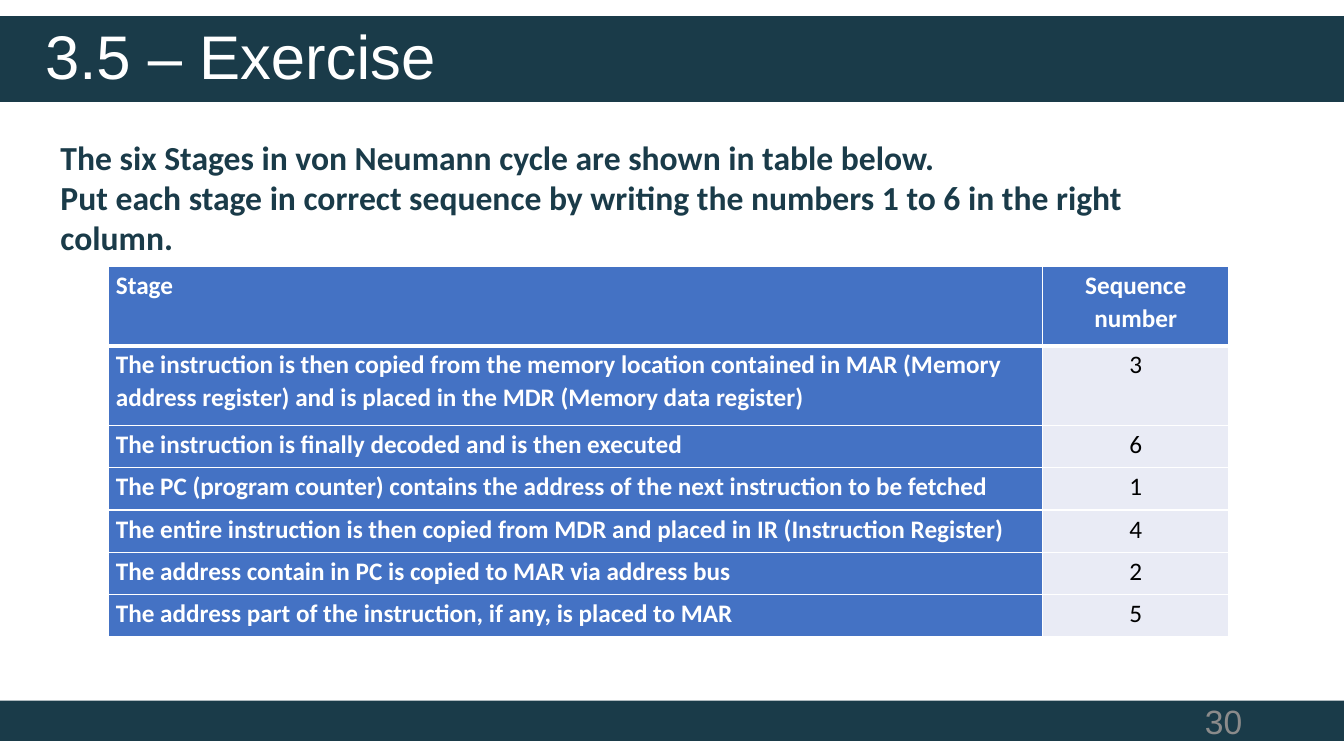
from lxml import etree
from pptx import Presentation
from pptx.dml.color import RGBColor
from pptx.enum.shapes import MSO_SHAPE
from pptx.enum.text import MSO_ANCHOR, PP_ALIGN
from pptx.oxml.ns import qn
from pptx.util import Inches, Pt

RECTANGLE = MSO_SHAPE.RECTANGLE
MIDDLE = MSO_ANCHOR.MIDDLE
LEFT, CENTER, RIGHT = PP_ALIGN.LEFT, PP_ALIGN.CENTER, PP_ALIGN.RIGHT
NAVY = RGBColor(0x1A, 0x3B, 0x49)
WHITE = RGBColor(0xFF, 0xFF, 0xFF)
BLACK = RGBColor(0x00, 0x00, 0x00)
GRAY = RGBColor(0x8B, 0x8B, 0x8B)
BLUE = RGBColor(0x44, 0x72, 0xC4)
PALE_BLUE = RGBColor(0xE9, 0xEB, 0xF5)

STAGES = [
    ("Stage", "Sequence number"),
    ("The instruction is then copied from the memory location contained in MAR "
     "(Memory address register) and is placed in the MDR (Memory data register)", "3"),
    ("The instruction is finally decoded and is then executed", "6"),
    ("The PC (program counter) contains the address of the next instruction to be fetched", "1"),
    ("The entire instruction is then copied from MDR and placed in IR (Instruction Register)", "4"),
    ("The address contain in PC is copied to MAR via address bus", "2"),
    ("The address part of the instruction, if any, is placed to MAR", "5"),
]


def write(frame, text, align, spacing, name, size, color, bold=False):
    frame.word_wrap = True
    frame.text = text
    paragraph = frame.paragraphs[0]
    paragraph.alignment = align
    paragraph.line_spacing = spacing
    for run in paragraph.runs:
        for key, value in {"name": name, "size": Pt(size), "bold": bold}.items():
            setattr(run.font, key, value)
        run.font.color.rgb = color


def add_border(cell, side, points):
    line = etree.SubElement(cell._tc.get_or_add_tcPr(), qn(f"a:ln{side}"), w=str(Pt(points)))
    fill = etree.SubElement(line, qn("a:solidFill"))
    etree.SubElement(fill, qn("a:srgbClr"), val=str(WHITE))


prs = Presentation()
prs.slide_width, prs.slide_height = Inches(13.33), Inches(7.5)
slide = prs.slides.add_slide(prs.slide_layouts[6])

for top, height in [(6.95, 0.4), (0.16, 0.85)]:
    band = slide.shapes.add_shape(RECTANGLE, 0, Inches(top), prs.slide_width, Inches(height))
    band.shadow.inherit = False
    band.fill.solid()
    band.fill.fore_color.rgb = NAVY
    band.line.fill.background()

TEXTS = [
    ((9.42, 6.95, 3, 0.4), (0.1, 0.05, 0.1, 0.05),
     ("30", RIGHT, 1.0, "Arial", 24, GRAY)),
    ((0.35, 0.25, 11.5, 0.68), (0.1, 0.05, 0.1, 0.05),
     ("3.5 – Exercise", LEFT, 0.9, "Arial", 44, WHITE)),
    ((0.35, 1.18, 11.72, 1.46), (0.25, 0.17, 0, 0.08),
     ("The six Stages in von Neumann cycle are shown in table below.\v"
      "Put each stage in correct sequence by writing the numbers 1 to 6 in the right column.",
      LEFT, 1.0, "Calibri", 24, NAVY, True)),
]
for place, insets, content in TEXTS:
    frame = slide.shapes.add_textbox(*map(Inches, place)).text_frame
    frame.vertical_anchor = MIDDLE
    for side, inset in zip(("left", "top", "right", "bottom"), insets):
        setattr(frame, f"margin_{side}", Inches(inset))
    write(frame, *content)

stage_table = slide.shapes.add_table(
    len(STAGES), 2, Inches(1.08), Inches(2.64), Inches(11.11), Inches(3.68)).table
for column, width in zip(stage_table.columns, (9.26, 1.85)):
    column.width = Inches(width)

for r, texts in enumerate(STAGES):
    stage_table.rows[r].height = Inches(0.79 if r < 2 else 0.42)
    for c, text in enumerate(texts):
        cell = stage_table.cell(r, c)
        answer = r > 0 and c == 1
        for side, points in {"L": 1, "R": 1, "T": 3 if r == 1 else 1, "B": 3 if r == 0 else 1}.items():
            add_border(cell, side, points)
        cell.fill.solid()
        cell.fill.fore_color.rgb = PALE_BLUE if answer else BLUE
        cell.margin_left = cell.margin_right = Inches(0.07)
        cell.margin_top = cell.margin_bottom = Inches(0.02)
        write(cell.text_frame, text, CENTER if c else LEFT, 1.07, "Calibri", 18,
              BLACK if answer else WHITE, not answer)

prs.save("out.pptx")
